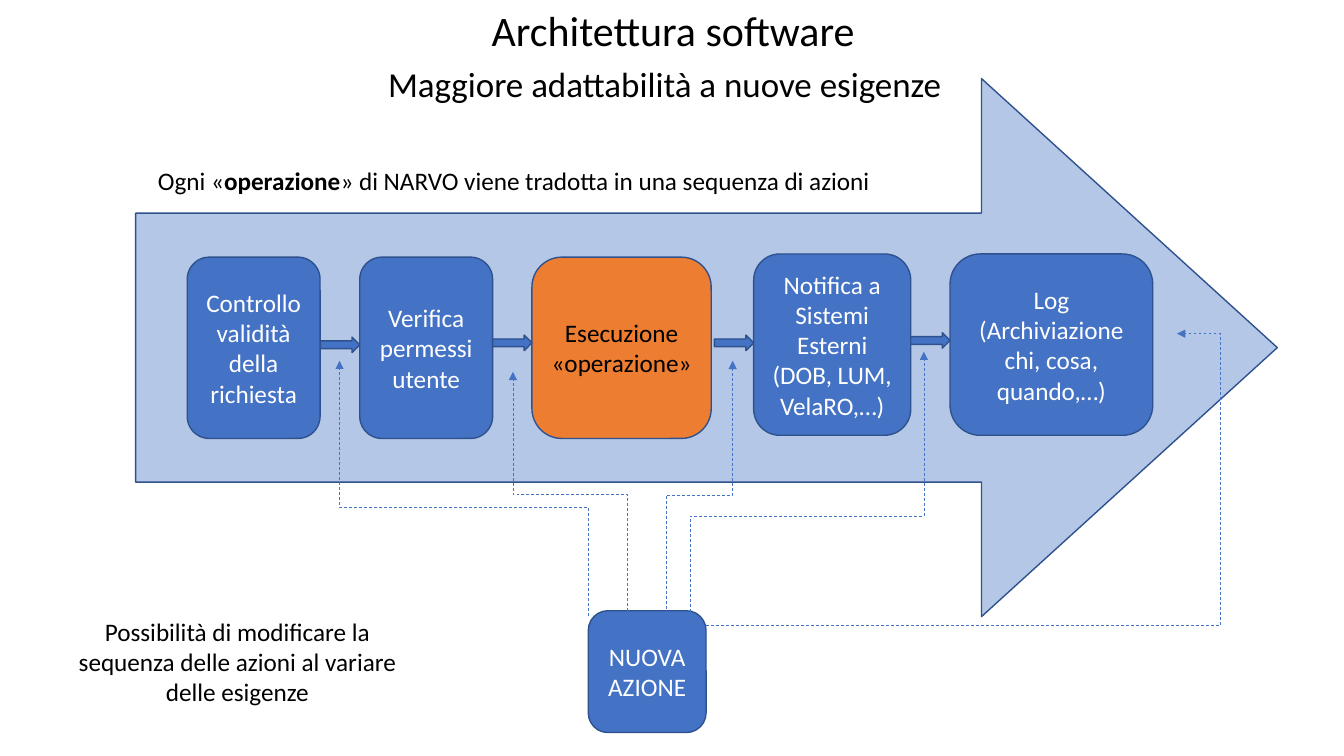
"""Builds the slide on the software architecture and its sequence of actions."""
from pptx import Presentation
from pptx import util as u
from pptx.dml.color import RGBColor
from pptx.enum import dml, shapes, text
from pptx.oxml import parse_xml
from pptx.oxml.ns import nsdecls, qn

COLOURS = {"blue": "4472C4", "edge": "2F528F", "pale": "B4C7E7",
           "orange": "ED7D31", "black": "000000", "white": "FFFFFF"}
STEP_HEIGHT, GAP, HEAD_HEIGHT = 4.57, 0.99, 0.39

STEPS = [
    ("Controllo validità della richiesta", 4.72, 6.48, 3.35, "blue", "white"),
    ("Verifica\npermessi utente", 9.07, 6.48, 3.35, "blue", "white"),
    ("Esecuzione «operazione»", 13.41, 6.48, 4.52, "orange", "black"),
    ("Notifica a Sistemi Esterni (DOB, LUM, VelaRO,…)", 19, 6.4, 3.96, "blue", "white"),
    ("Log (Archiviazione chi, cosa, quando,…)", 23.95, 6.4, 5.11, "blue", "white"),
]
LINK_CENTRES = [8.69, 8.64, 8.64, 8.58]
INSERTIONS = [
    ((15.82, 15.52), (12.93, 9.37), 12.45),
    ((14.83, 15.52), (8.56, 9.09), 12.78),
    ((16.79, 15.47), (18.47, 9.09), 12.47),
    ((17.4, 15.42), (23.29, 8.86), 13),
]


def colour(name):
    """Return the named colour."""
    return RGBColor.from_string(COLOURS[name])


def cm(*lengths):
    """Turn numbers into lengths in centimetres."""
    return [u.Cm(length) for length in lengths]


def write(holder, content, size=18, ink="black", bold="", spacing=1.0,
          anchor=text.MSO_ANCHOR.TOP, inset=(0.25, 0.13)):
    """Fill a shape with centred text, with one part optionally bold."""
    frame = holder.text_frame
    frame.word_wrap = True
    frame.auto_size = text.MSO_AUTO_SIZE.NONE
    frame.vertical_anchor = anchor
    frame.margin_left = frame.margin_right = u.Cm(inset[0])
    frame.margin_top = frame.margin_bottom = u.Cm(inset[1])
    for index, line in enumerate(content.split("\n")):
        paragraph = frame.add_paragraph() if index else frame.paragraphs[0]
        paragraph.alignment = text.PP_ALIGN.CENTER
        paragraph.line_spacing = spacing
        for part in line.partition(bold) if bold else [line]:
            run = paragraph.add_run()
            run.text = part
            run.font.name, run.font.size = "Calibri", u.Pt(size)
            run.font.bold = bool(bold) and part == bold
            run.font.color.rgb = colour(ink)


def add_label(slide, content, box, **style):
    """Add a free text."""
    write(slide.shapes.add_textbox(*cm(*box)), content, **style)


def add_block(slide, kind, box, fill):
    """Add a filled and outlined shape."""
    block = slide.shapes.add_shape(kind, *cm(*box))
    block.shadow.inherit = False
    block.fill.solid()
    block.fill.fore_color.rgb = colour(fill)
    block.line.color.rgb = colour("edge")
    block.line.width = u.Pt(1)
    return block


def add_action(slide, content, box, fill="blue", ink="white"):
    """Add a rounded box that names an action."""
    action = add_block(slide, shapes.MSO_SHAPE.ROUNDED_RECTANGLE, box, fill)
    write(action, content, ink=ink, anchor=text.MSO_ANCHOR.MIDDLE)


def add_elbow(slide, start, end, bend):
    """Add a dashed elbow arrow whose bend is a fraction of its run."""
    elbow = slide.shapes.add_connector(shapes.MSO_CONNECTOR.ELBOW, *cm(*start, *end))
    elbow.line.color.rgb = colour("blue")
    elbow.line.width = u.Pt(0.5)
    elbow.line.dash_style = dml.MSO_LINE.DASH
    properties = elbow._element.spPr
    properties.find(qn("a:ln")).append(
        parse_xml(f'<a:tailEnd {nsdecls("a")} type="triangle"/>'))
    properties.append(parse_xml(f'<a:effectLst {nsdecls("a")}/>'))
    properties.find(qn("a:prstGeom")).get_or_add_avLst().append(parse_xml(
        f'<a:gd {nsdecls("a")} name="adj1" fmla="val {round(bend * 100000)}"/>'))
    return elbow


def add_rising_elbow(slide, start, end, bend_y):
    """Add an elbow arrow that leaves upwards, as a level one turned by 270 degrees."""
    (x1, y1), (x2, y2) = start, end
    middle_x, middle_y = (x1 + x2) / 2, (y1 + y2) / 2
    rise, shift = (y1 - y2) / 2, (x2 - x1) / 2
    elbow = add_elbow(slide, (middle_x - rise, middle_y - shift),
                      (middle_x + rise, middle_y + shift), (y1 - bend_y) / (y1 - y2))
    elbow._element.spPr.find(qn("a:xfrm")).set("rot", str(270 * 60000))


def main():
    """Build and save the slide."""
    deck = Presentation()
    deck.slide_width, deck.slide_height = cm(33.88, 19.05)
    slide = deck.slides.add_slide(deck.slide_layouts[5])

    title = slide.shapes.title
    title.left, title.top, title.width, title.height = cm(4.27, 0.13, 25.4, 1.4)
    write(title, "Architettura software", size=30, spacing=0.9,
          anchor=text.MSO_ANCHOR.BOTTOM)

    process = add_block(slide, shapes.MSO_SHAPE.RIGHT_ARROW,
                        (3.42, 1.98, 28.78, 13.56), "pale")
    process.adjustments[1] = 0.55

    add_label(slide, "Maggiore adattabilità a nuove esigenze ", (9.07, 1.37, 15.57, 1.4),
              size=25, spacing=0.9, anchor=text.MSO_ANCHOR.BOTTOM)
    add_label(slide, "Ogni «operazione» di NARVO viene tradotta in una sequenza di azioni",
              (3.2, 4.04, 19.51, 1.02), bold="operazione")
    add_label(slide, "Possibilità di modificare la sequenza delle azioni "
              "al variare delle esigenze", (1.63, 15.39, 8.71, 2.54))

    for content, left, top, width, fill, ink in STEPS:
        add_action(slide, content, (left, top, width, STEP_HEIGHT), fill, ink)
    for following, centre in zip(STEPS[1:], LINK_CENTRES):
        add_block(slide, shapes.MSO_SHAPE.RIGHT_ARROW,
                  (following[1] - GAP, centre - HEAD_HEIGHT / 2, GAP, HEAD_HEIGHT), "blue")
    add_action(slide, "NUOVA AZIONE", (14.83, 15.39, 2.97, 3.07))

    for start, end, bend_y in INSERTIONS:
        add_rising_elbow(slide, start, end, bend_y)
    add_elbow(slide, (17.55, 15.77), (29.67, 8.41), 1.09)

    deck.save("out.pptx")


if __name__ == "__main__":
    main()
